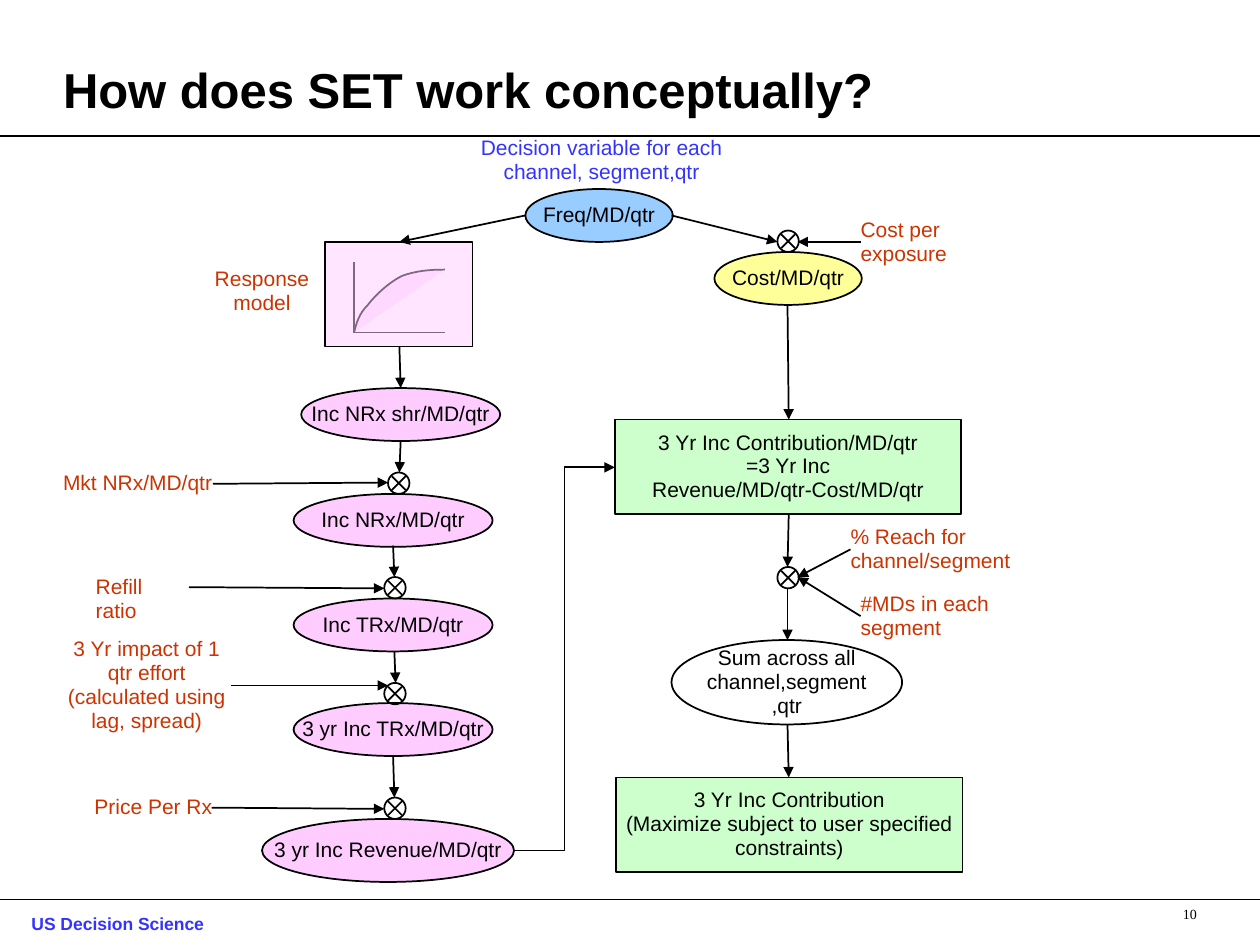
from lxml import etree
from pptx import Presentation
from pptx.dml.color import RGBColor
from pptx.enum.shapes import MSO_CONNECTOR, MSO_SHAPE
from pptx.enum.text import MSO_ANCHOR, PP_ALIGN
from pptx.oxml.ns import qn
from pptx.util import Inches, Pt

LEFT, CENTER, RIGHT = PP_ALIGN.LEFT, PP_ALIGN.CENTER, PP_ALIGN.RIGHT
TOP, MIDDLE, BOTTOM = MSO_ANCHOR.TOP, MSO_ANCHOR.MIDDLE, MSO_ANCHOR.BOTTOM
OVAL, RECT = MSO_SHAPE.OVAL, MSO_SHAPE.RECTANGLE
STRAIGHT, ELBOW = MSO_CONNECTOR.STRAIGHT, MSO_CONNECTOR.ELBOW
BLACK, BLUE, RED = "000000", "3333FF", "CC3300"
PINK, GREEN, SKY, YELLOW = "FFCCFF", "CCFFCC", "99CCFF", "FFFF99"
rgb = RGBColor.from_string


def add_line(shapes, x1, y1, x2, y2, arrow=True, kind=STRAIGHT):
    ln = shapes.add_connector(kind, Inches(x1), Inches(y1), Inches(x2), Inches(y2))
    ln.line.color.rgb, ln.line.width = rgb(BLACK), Pt(1)
    if arrow:
        etree.SubElement(ln.line._get_or_add_ln(), qn("a:tailEnd"), type="triangle")
    etree.SubElement(ln._element.spPr, qn("a:effectLst"))


def add_box(shapes, kind, x, y, w, h, text="", fill=None, color=BLACK, align=CENTER,
            wrap=True, size=12, font="Arial", bold=False):
    """Add a preset shape, or a plain text box when kind is None."""
    at = [Inches(v) for v in (x, y, w, h)]
    if kind is None:
        sp = shapes.add_textbox(*at)
    else:
        sp = shapes.add_shape(kind, *at)
        sp.shadow.inherit = False
        sp.line.color.rgb, sp.line.width = rgb(BLACK), Pt(1)
        if fill:
            sp.fill.solid()
            sp.fill.fore_color.rgb = rgb(fill)
        else:
            sp.fill.background()
    tf = sp.text_frame
    frame = dict(margin_left=0, margin_right=0, margin_top=0, margin_bottom=0,
                 word_wrap=wrap, vertical_anchor=MIDDLE if kind else TOP)
    for name, value in frame.items():
        setattr(tf, name, value)
    tf.text = text
    for p in tf.paragraphs:
        p.alignment, p.line_spacing = align, 0.95
        for name, value in dict(size=Pt(size), name=font, bold=bold).items():
            setattr(p.font, name, value)
        p.font.color.rgb = rgb(color)
    return sp


prs = Presentation()
prs.slide_width, prs.slide_height = Inches(10), Inches(7.5)
s = prs.slides.add_slide(prs.slide_layouts[5])
shapes = s.shapes

# Title, rules and footer
title = shapes.title
title.left, title.top, title.width, title.height = (
    Inches(v) for v in (0.5, 0.25, 9, 0.75))
tf = title.text_frame
tf.text = "How does SET work conceptually?"
frame = dict(margin_left=0, margin_right=0, margin_top=0, margin_bottom=Inches(0.06),
             vertical_anchor=BOTTOM, word_wrap=True)
for name, value in frame.items():
    setattr(tf, name, value)
p = tf.paragraphs[0]
p.alignment, p.line_spacing = LEFT, Pt(41)
for name, value in dict(size=Pt(28), name="Arial", bold=True).items():
    setattr(p.font, name, value)
p.font.color.rgb = rgb(BLACK)

for y in (1.08, 7.14):
    add_line(shapes, 0, y, 10, y, arrow=False)
add_box(shapes, None, 0.25, 7.26, 3.17, 0.24, "US Decision Science",
        color=BLUE, align=LEFT, size=10, bold=True)
add_box(shapes, None, 8.78, 7.2, 0.72, 0.28, "10",
        align=RIGHT, size=8, font="Times New Roman")

# Flow steps
for x, y, w, h, text, fill in [
    (4.17, 1.5, 1.17, 0.42, "Freq/MD/qtr", SKY),
    (5.67, 2, 1.17, 0.42, "Cost/MD/qtr", YELLOW),
    (2.39, 3.08, 1.58, 0.42, "Inc NRx shr/MD/qtr", PINK),
    (2.33, 3.92, 1.58, 0.42, "Inc NRx/MD/qtr", PINK),
    (2.33, 4.75, 1.58, 0.42, "Inc TRx/MD/qtr", PINK),
    (2.33, 5.58, 1.58, 0.42, "3 yr Inc TRx/MD/qtr", PINK),
    (2.08, 6.5, 2, 0.5, "3 yr Inc Revenue/MD/qtr", PINK),
]:
    add_box(shapes, OVAL, x, y, w, h, text, fill, wrap=False)
add_box(shapes, OVAL, 5.33, 5.08, 1.83, 0.67, "Sum across all channel,segment,qtr")
add_box(shapes, RECT, 4.88, 3.33, 2.75, 0.75,
        "3 Yr Inc Contribution/MD/qtr\n=3 Yr Inc Revenue/MD/qtr-Cost/MD/qtr", GREEN)
add_box(shapes, RECT, 4.89, 6.17, 2.75, 0.75,
        "3 Yr Inc Contribution\n(Maximize subject to user specified constraints)", GREEN)

# Response model: axes and Bezier curve under a translucent panel
model = shapes.add_group_shape().shapes
add_line(model, 2.81, 2.64, 2.81, 2.08, arrow=False)
add_line(model, 2.81, 2.64, 3.53, 2.64, arrow=False)
knots = [(2.81, 2.64), (2.83, 2.56), (2.85, 2.49), (2.92, 2.42), (2.98, 2.34),
         (3.09, 2.24), (3.19, 2.19), (3.3, 2.15), (3.41, 2.14), (3.53, 2.14)]
points = []
for i in range(0, 9, 3):
    for t in (n / 8 for n in range(1, 9)):
        weights = ((1 - t) ** 3, 3 * t * (1 - t) ** 2, 3 * t * t * (1 - t), t ** 3)
        points.append([Inches(sum(k * knot[axis] for k, knot in zip(weights, knots[i:i + 4])))
                       for axis in (0, 1)])
builder = model.build_freeform(Inches(2.81), Inches(2.64))
builder.add_line_segments(points, close=False)
curve = builder.convert_to_shape()
curve.shadow.inherit = False
curve.line.color.rgb, curve.line.width = rgb(BLACK), Pt(1)
curve.fill.solid()
curve.fill.fore_color.rgb = rgb(PINK)
panel = add_box(model, RECT, 2.58, 1.92, 1.17, 0.83, fill=PINK)
for sp in (curve, panel):
    solid = sp._element.spPr.find(qn("a:solidFill"))
    etree.SubElement(solid[0], qn("a:alpha"), val="50000")

# Multiplication signs
for x, y in [(3.08, 3.75), (3.05, 4.58), (3.05, 5.42), (3.05, 6.33),
             (6.17, 4.5), (6.17, 1.83)]:
    sign = shapes.add_group_shape().shapes
    add_box(sign, OVAL, x, y, 0.17, 0.17)
    near, far = 0.03, 0.14
    add_line(sign, x + near, y + near, x + far, y + far, arrow=False)
    add_line(sign, x + far, y + near, x + near, y + far, arrow=False)

# Inputs
for x, y, w, h, text, color, align, wrap in [
    (3.58, 1.08, 2.39, 0.38, "Decision variable for each channel, segment,qtr",
     BLUE, CENTER, True),
    (1.58, 2.12, 1, 0.38, "Response model", RED, CENTER, True),
    (0.5, 3.74, 1.19, 0.19, "Mkt NRx/MD/qtr", RED, LEFT, False),
    (0.76, 4.57, 0.74, 0.19, "Refill ratio", RED, LEFT, False),
    (0.5, 5.06, 1.33, 0.76, "3 Yr impact of 1 qtr effort (calculated using lag, spread)",
     RED, CENTER, True),
    (0.75, 6.31, 0.94, 0.19, "Price Per Rx", RED, LEFT, False),
    (6.83, 1.73, 1.08, 0.38, "Cost per exposure", RED, LEFT, True),
    (6.75, 4.17, 1.42, 0.38, "% Reach for channel/segment", RED, LEFT, True),
    (6.83, 4.7, 1.42, 0.38, "#MDs in each segment", RED, LEFT, True),
]:
    add_box(shapes, None, x, y, w, h, text, color=color, align=align, wrap=wrap)

# Arrows
for ends in [
    (4.17, 1.71, 3.17, 1.92), (5.33, 1.71, 6.17, 1.92), (6.83, 1.92, 6.33, 1.92),
    (3.17, 2.75, 3.18, 3.08), (3.18, 3.5, 3.17, 3.75), (3.12, 4.33, 3.13, 4.58),
    (3.13, 5.17, 3.14, 5.42), (3.12, 6, 3.13, 6.33),
    (1.69, 3.84, 3.08, 3.83), (1.5, 4.66, 3.05, 4.67),
    (1.83, 5.44, 3.08, 5.44), (1.68, 6.41, 3.05, 6.42),
    (6.25, 2.42, 6.26, 3.33), (6.26, 4.08, 6.25, 4.5), (6.25, 4.67, 6.25, 5.08),
    (6.25, 5.75, 6.26, 6.17), (6.75, 4.36, 6.33, 4.58), (6.83, 4.89, 6.33, 4.58),
]:
    add_line(shapes, *ends)
add_line(shapes, 4.08, 6.75, 4.88, 3.71, kind=ELBOW)

prs.save("out.pptx")
